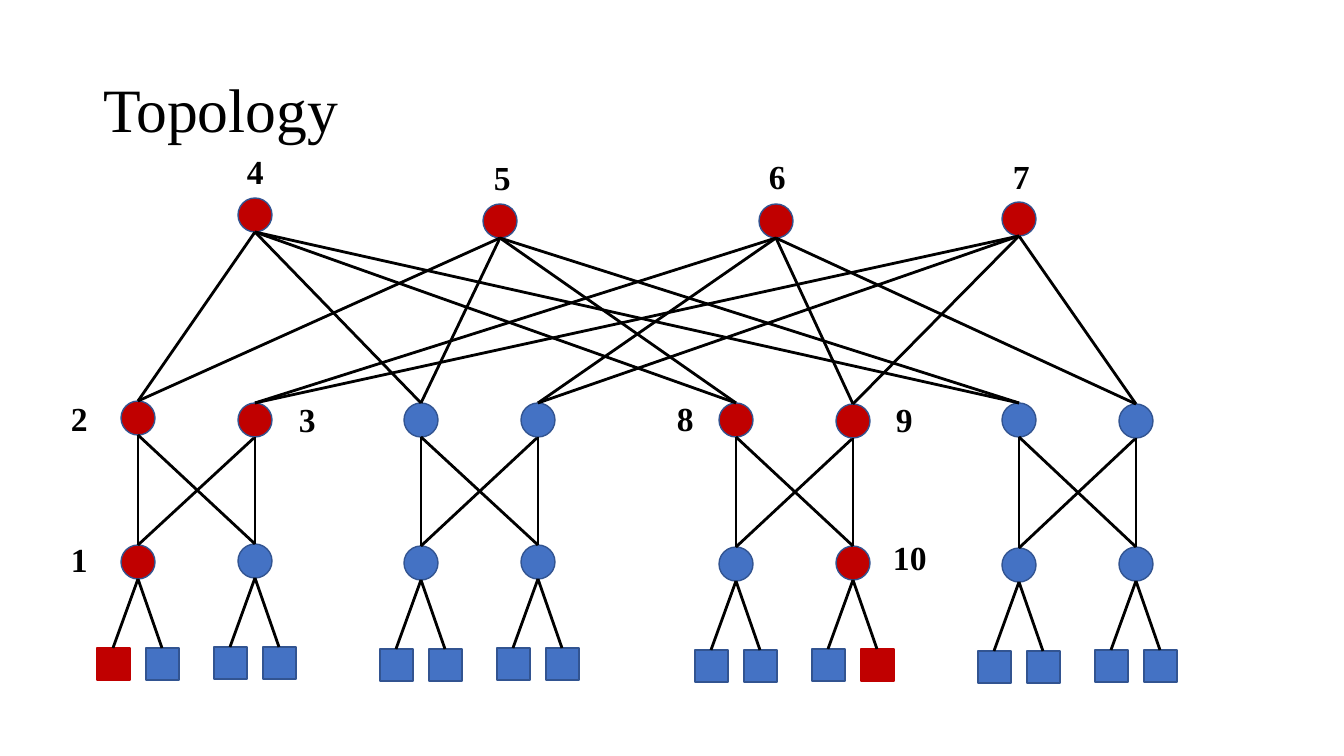
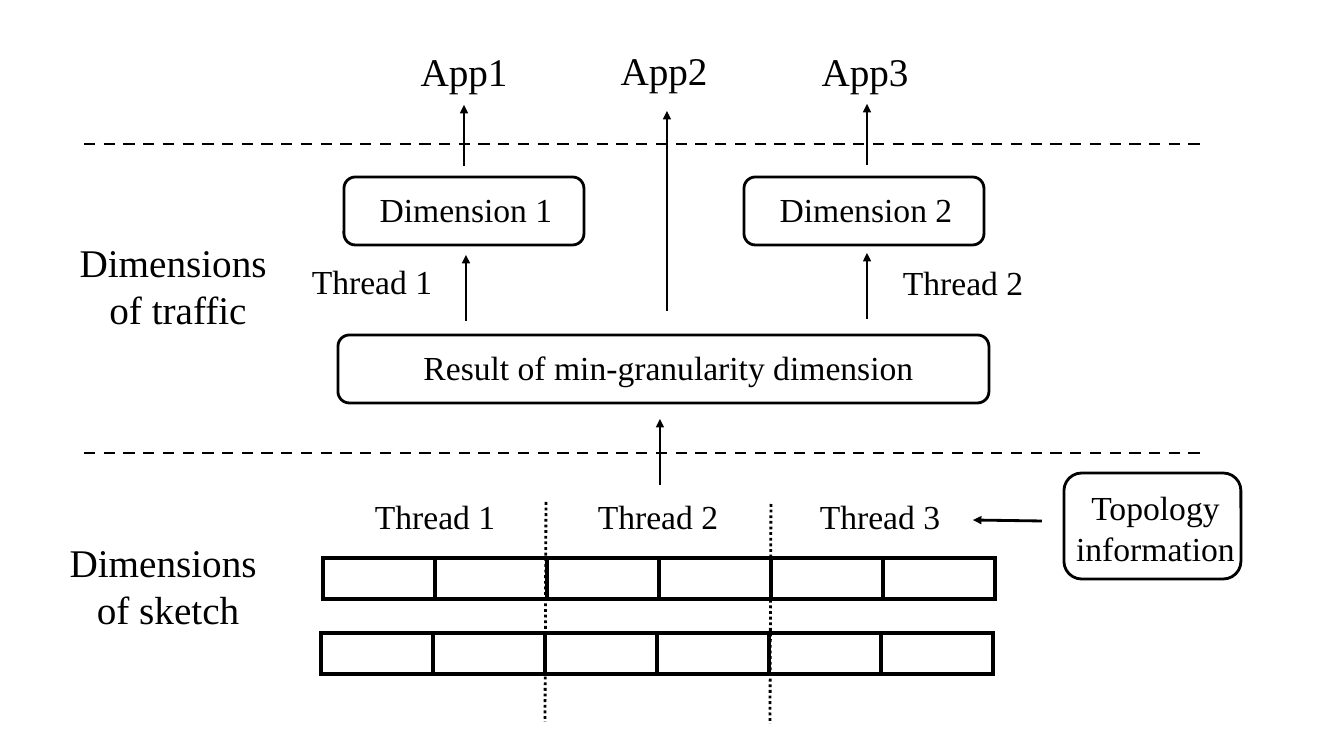
from lxml.etree import SubElement
from pptx import Presentation
from pptx.dml.color import RGBColor
from pptx.enum.dml import MSO_LINE
from pptx.enum.shapes import MSO_CONNECTOR, MSO_SHAPE
from pptx.enum.text import MSO_ANCHOR, MSO_AUTO_SIZE, PP_ALIGN
from pptx.oxml.ns import qn
from pptx.util import Emu, Pt

COLORS = {"ink": "000000", "node": "4472C4", "edge": "325491", "marked": "C00000"}
FONT = "Times New Roman"
EMU_PER_PX = 914400 / 100.8
TITLE_ONLY, BLANK = 5, 6


def px(length):
    return Emu(round(length * EMU_PER_PX))


def color(name):
    return RGBColor.from_string(COLORS[name])


class Deck:
    """Shared style plus the page being drawn."""

    def __init__(self):
        self.deck = Presentation()
        self.deck.slide_width, self.deck.slide_height = px(1344), px(756)
        self.page = None

    def new_page(self, layout):
        self.page = self.deck.slides.add_slide(self.deck.slide_layouts[layout])

    def set_text(self, frame, text, size, bold=False, align=PP_ALIGN.CENTER):
        frame.word_wrap = True
        frame.text = text
        for paragraph in frame.paragraphs:
            paragraph.alignment = align
            font = paragraph.font
            font.name, font.size, font.bold = FONT, Pt(size), bold
            font.color.rgb = color("ink")

    def title(self, text):
        title = self.page.shapes.title
        title.left, title.top, title.width, title.height = map(px, (93, 40, 1159, 146))
        frame = title.text_frame
        self.set_text(frame, text, 44, align=PP_ALIGN.LEFT)
        frame.vertical_anchor = MSO_ANCHOR.MIDDLE
        frame.paragraphs[0].line_spacing = 0.9

    def label(self, text, center, top, width, size):
        """Text centred on a vertical axis."""
        box = self.page.shapes.add_textbox(
            px(center - width / 2), px(top), px(width), px(50))
        self.set_text(box.text_frame, text, size)
        box.text_frame.auto_size = MSO_AUTO_SIZE.SHAPE_TO_FIT_TEXT

    def number(self, text, left, top):
        box = self.page.shapes.add_textbox(px(left), px(top), px(62), px(40))
        frame = box.text_frame
        frame.margin_left = frame.margin_right = 0
        frame.margin_top = frame.margin_bottom = 0
        self.set_text(frame, text, 24, bold=True, align=PP_ALIGN.LEFT)

    def shape(self, kind, left, top, width, height, fill, line, weight=1):
        shape = self.page.shapes.add_shape(kind, *map(px, (left, top, width, height)))
        shape.shadow.inherit = False
        if fill:
            shape.fill.solid()
            shape.fill.fore_color.rgb = color(fill)
        else:
            shape.fill.background()
        shape.line.color.rgb = color(line)
        shape.line.width = Pt(weight)
        return shape

    def node(self, center, top, marked):
        self.shape(MSO_SHAPE.OVAL, center - 17, top, 34, 34,
                   "marked" if marked else "node", "edge")

    def host(self, center, top, marked):
        fill, line = ("marked", "marked") if marked else ("node", "edge")
        self.shape(MSO_SHAPE.RECTANGLE, center - 16, top, 33, 32, fill, line)

    def panel(self, text, left, top, width, height, shift):
        """Rounded outline whose text sits slightly right of centre."""
        shape = self.shape(MSO_SHAPE.ROUNDED_RECTANGLE, left, top, width, height,
                           None, "ink", 2)
        frame = shape.text_frame
        frame.margin_left, frame.margin_right = px(2 * shift), 0
        frame.margin_top = px(9)
        frame.vertical_anchor = MSO_ANCHOR.TOP
        self.set_text(frame, text, 24)

    def line(self, start, end, dash=None, arrow=False):
        connector = self.page.shapes.add_connector(
            MSO_CONNECTOR.STRAIGHT, *map(px, (*start, *end)))
        connector.line.color.rgb = color("ink")
        connector.line.width = Pt(2)
        if dash:
            connector.line.dash_style = dash
        properties = connector._element.spPr
        if arrow:
            SubElement(properties.find(qn("a:ln")), qn("a:tailEnd"), type="triangle")
        SubElement(properties, qn("a:effectLst"))

    def cell_row(self, left, top, count):
        """One-row table of empty outlined cells."""
        frame = self.page.shapes.add_table(
            1, count, px(left), px(top), px(112 * count), px(41))
        table = frame.table
        table.first_row = table.horz_banding = False
        for column in table.columns:
            column.width = px(112)
        for cell in table.iter_cells():
            properties = cell._tc.get_or_add_tcPr()
            for side in ("lnL", "lnR", "lnT", "lnB"):
                border = SubElement(properties, qn(f"a:{side}"), w=str(Pt(3)))
                fill = SubElement(border, qn("a:solidFill"))
                SubElement(fill, qn("a:srgbClr"), val=COLORS["ink"])
            cell.fill.background()


def draw_topology(deck):
    deck.new_page(TITLE_ONLY)
    deck.title("Topology")

    cores = [(255, 198), (500, 204), (776, 204), (1019, 202)]
    columns = [138, 255, 421, 538, 736, 853, 1019, 1136]
    upper_tops = [401, 403, 403, 403, 403, 404, 403, 404]
    marked_upper, marked_lower, marked_hosts = {0, 1, 4, 5}, {0, 5}, {0, 11}

    for center, top in cores:
        deck.node(center, top, True)

    for index, (center, upper) in enumerate(zip(columns, upper_tops)):
        pod, side = divmod(index, 2)
        lower = 545 + pod - side
        deck.node(center, upper, index in marked_upper)
        deck.node(center, lower, index in marked_lower)

        # Left switches reach the first two cores, right ones the last two
        for core, core_top in cores[2 * side:2 * side + 2]:
            deck.line((center, upper), (core, core_top + 34))

        # Every lower switch reaches both upper switches of its pod
        for peer in (2 * pod, 2 * pod + 1):
            deck.line((center, lower), (columns[peer], upper_tops[peer] + 34))

        # Two hosts under each lower switch
        for slot, offset in enumerate((-25, 24)):
            host_top = lower + 103
            deck.host(center + offset, host_top, 2 * index + slot in marked_hosts)
            deck.line((center + offset, host_top), (center, lower + 34))

    # Switch numbers, from 1 up
    places = [(71, 539), (71, 398), (299, 399), (247, 151), (494, 157),
              (769, 156), (1013, 156), (677, 398), (896, 399), (893, 537)]
    for number, (left, top) in enumerate(places, 1):
        deck.number(str(number), left, top)


def draw_architecture(deck):
    deck.new_page(BLANK)

    # Layer separators and names
    for y in (144, 453):
        deck.line((84, y), (1202, y), dash=MSO_LINE.DASH)
    deck.label("Dimensions \nof traffic", 178, 233, 301, 28)
    deck.label("Dimensions \nof sketch", 168, 533, 301, 28)

    # Applications
    for text, center, top in (("App1", 464, 42), ("App2", 664, 41), ("App3", 865, 42)):
        deck.label(text, center, top, 301, 28)

    # Traffic dimensions
    deck.panel("Dimension 1", 344, 177, 240, 68, 2)
    deck.panel("Dimension 2", 744, 177, 240, 68, 2)
    deck.panel("Result of min-granularity dimension", 338, 335, 651, 68, 5)
    deck.panel("Topology information", 1064, 473, 177, 106, 3)

    # Sketch rows split among threads
    deck.cell_row(323, 558, 6)
    deck.cell_row(321, 633, 6)
    for x, top in ((546, 502), (771, 504)):
        deck.line((x, top), (x - 1, top + 220), dash=MSO_LINE.ROUND_DOT)

    threads = (("Thread 1", 372, 256), ("Thread 2", 963, 257),
               ("Thread 1", 435, 491), ("Thread 2", 658, 491), ("Thread 3", 880, 491))
    for text, center, top in threads:
        deck.label(text, center, top, 256, 24)

    # Data flow
    for x, start, end in ((464, 166, 105), (867, 165, 104), (667, 311, 111),
                          (466, 321, 255), (867, 319, 253), (660, 485, 419)):
        deck.line((x, start), (x, end), arrow=True)
    deck.line((1042, 521), (973, 520), arrow=True)


def main():
    deck = Deck()
    draw_topology(deck)
    draw_architecture(deck)
    deck.deck.save("out.pptx")


if __name__ == "__main__":
    main()
